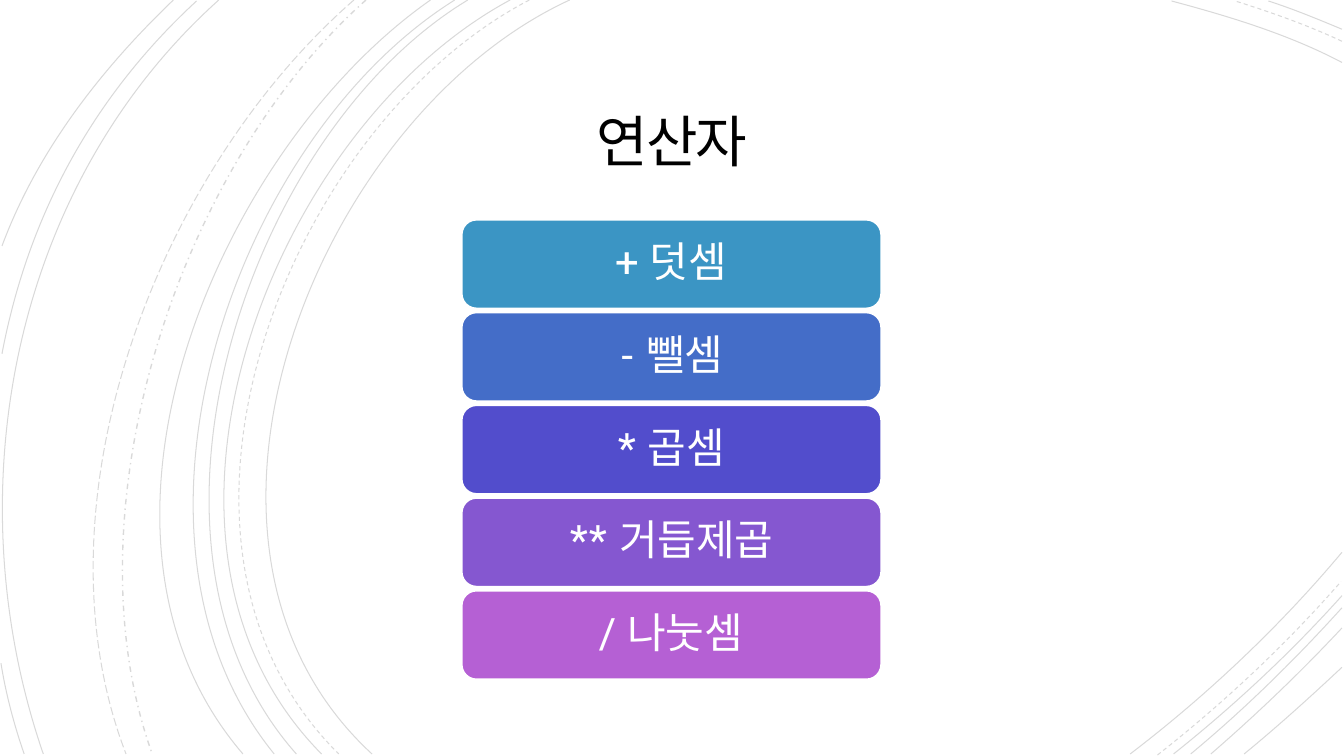
"""Build the operator slide: a title, five stacked bars and faint orbit arcs."""
from dataclasses import dataclass

from lxml import etree
from pptx import Presentation
from pptx.dml.color import RGBColor
from pptx.enum.dml import MSO_LINE
from pptx.enum.shapes import MSO_SHAPE
from pptx.enum.text import MSO_ANCHOR, MSO_AUTO_SIZE, PP_ALIGN
from pptx.oxml.ns import qn
from pptx.shapes.autoshape import Shape
from pptx.slide import Slide
from pptx.text.text import TextFrame
from pptx.util import Emu, Inches, Pt

SOLID, DASH = MSO_LINE.SOLID, MSO_LINE.DASH
LONG_DASH, DASH_DOT = MSO_LINE.LONG_DASH, MSO_LINE.DASH_DOT
ROUNDED = MSO_SHAPE.ROUNDED_RECTANGLE
MIDDLE, CENTER = MSO_ANCHOR.MIDDLE, PP_ALIGN.CENTER
FIXED_SIZE = MSO_AUTO_SIZE.NONE

COLORS = {
    "ink": "000000",
    "paper": "FFFFFF",
    "add": "3B95C4",
    "subtract": "446DC8",
    "multiply": "524DCC",
    "power": "8557D0",
    "divide": "B560D4",
}
CELL = Inches(1)
COLUMNS, ROWS = 13.33, 7.5
BAR_LEFT, BAR_TOP, BAR_WIDTH, BAR_HEIGHT, BAR_PITCH = 4.58, 2.18, 4.16, 0.88, 0.92
ARC_OPACITY = 15

Point = tuple[float, float]


@dataclass(frozen=True)
class Arc:
    start: Point
    bend_out: Point
    bend_in: Point
    end: Point
    dash: MSO_LINE = SOLID
    weight: float = 0.75


@dataclass(frozen=True)
class Operator:
    label: str
    color: str


ARCS = [
    Arc((5.65, 0), (3.15, 1.15), (1.43, 5.4), (3.69, 7.48)),
    Arc((13.31, 0.62), (12.78, 0.34), (12.18, 0.16), (11.62, 0.01)),
    Arc((11.21, 7.48), (11.97, 6.9), (12.69, 6.22), (13.31, 5.48)),
    Arc((5.25, 0), (2.85, 1.25), (1.23, 5.37), (3.36, 7.48), DASH),
    Arc((13.31, 0.41), (12.97, 0.25), (12.6, 0.12), (12.25, 0.01), DASH),
    Arc((11.48, 7.49), (12.13, 6.98), (12.75, 6.4), (13.3, 5.77), DASH),
    Arc((5.06, 0), (2.7, 1.27), (1.1, 5.37), (3.19, 7.48)),
    Arc((13.31, 0.29), (13.07, 0.19), (12.83, 0.09), (12.58, 0.01)),
    Arc((11.64, 7.48), (12.23, 7.01), (12.8, 6.48), (13.31, 5.91)),
    Arc((4.64, 0), (2.44, 1.33), (1.1, 5.41), (2.94, 7.48)),
    Arc((11.81, 7.48), (12.34, 7.04), (12.84, 6.55), (13.31, 6.03)),
    Arc((4.51, 0), (2.31, 1.38), (0.97, 5.33), (2.72, 7.48)),
    Arc((12.01, 7.48), (12.46, 7.09), (12.9, 6.67), (13.31, 6.23)),
    Arc((4.27, 0), (2.17, 1.47), (0.53, 5.29), (2.41, 7.48)),
    Arc((12.34, 7.48), (12.67, 7.21), (12.99, 6.92), (13.31, 6.62)),
    Arc((3.63, 0), (1.76, 1.66), (0.65, 5.09), (1.51, 7.48), DASH_DOT, 1),
    Arc((3.51, 0), (1.57, 1.69), (0.29, 4.99), (1.25, 7.48), LONG_DASH),
    Arc((2.17, 0), (0.11, 1.85), (-0.46, 4.9), (0.43, 7.48)),
    Arc((1.95, 0.01), (0.92, 0.96), (0.28, 2.14), (0.02, 3.51)),
    Arc((0.01, 6.58), (0.06, 6.89), (0.14, 7.19), (0.24, 7.48)),
    Arc((1.72, 0), (1, 0.69), (0.37, 1.5), (0.02, 2.44)),
]
OPERATORS = [
    Operator("+ 덧셈", "add"),
    Operator("- 뺄셈", "subtract"),
    Operator("* 곱셈", "multiply"),
    Operator("** 거듭제곱", "power"),
    Operator("/ 나눗셈", "divide"),
]


def grid(cells: float) -> Emu:
    return Emu(round(cells * CELL))


def rgb(name: str) -> RGBColor:
    return RGBColor.from_string(COLORS[name])


def write(frame: TextFrame, text: str, *, font: str, size: float, color: str,
          line_spacing: float, margins: Point, tracking: float = 0) -> None:
    frame.word_wrap = True
    frame.auto_size = FIXED_SIZE
    frame.vertical_anchor = MIDDLE
    frame.margin_left = frame.margin_right = grid(margins[0])
    frame.margin_top = frame.margin_bottom = grid(margins[1])
    paragraph = frame.paragraphs[0]
    paragraph.alignment = CENTER
    paragraph.line_spacing = line_spacing
    run = paragraph.add_run()
    run.text = text
    run.font.name = font
    run.font.size = Pt(size)
    run.font.color.rgb = rgb(color)
    if tracking:
        run.font._element.set("spc", str(round(tracking * 100)))


def bend(outline: Shape) -> None:
    route = outline._element.find(f".//{qn('a:path')}")
    segments = route.findall(qn("a:lnTo"))
    curve = etree.SubElement(route, qn("a:cubicBezTo"))
    for segment in segments:
        curve.append(segment[0])
        route.remove(segment)


def draw_arc(slide: Slide, arc: Arc) -> None:
    start, *others = [(grid(x), grid(y)) for x, y in
                      (arc.start, arc.bend_out, arc.bend_in, arc.end)]
    builder = slide.shapes.build_freeform(*start)
    builder.add_line_segments(others, close=False)
    orbit = builder.convert_to_shape()
    bend(orbit)
    orbit.shadow.inherit = False
    orbit.fill.background()
    orbit.line.color.rgb = rgb("ink")
    orbit.line.width = Pt(arc.weight)
    orbit.line.dash_style = arc.dash
    ink = orbit.line._ln.find(f".//{qn('a:srgbClr')}")
    etree.SubElement(ink, qn("a:alpha")).set("val", str(ARC_OPACITY * 1000))


def draw_operator(slide: Slide, operator: Operator, row: int) -> None:
    bar = slide.shapes.add_shape(
        ROUNDED, grid(BAR_LEFT), grid(BAR_TOP + row * BAR_PITCH),
        grid(BAR_WIDTH), grid(BAR_HEIGHT))
    bar.shadow.inherit = False
    bar.fill.solid()
    bar.fill.fore_color.rgb = rgb(operator.color)
    bar.line.color.rgb = rgb("paper")
    bar.line.width = Pt(1.25)
    write(bar.text_frame, operator.label, font="Roboto Slab", size=30,
          color="paper", line_spacing=0.9, margins=(0.12, 0.06))


def draw_heading(slide: Slide) -> None:
    heading = slide.shapes.title
    heading.left, heading.top = grid(1.92), grid(0.87)
    heading.width, heading.height = grid(9.49), grid(1.15)
    write(heading.text_frame, "연산자", font="Calibri", size=40, color="ink",
          line_spacing=0.85, margins=(0.25, 0.25), tracking=-1.5)


def main() -> None:
    deck = Presentation()
    deck.slide_width, deck.slide_height = grid(COLUMNS), grid(ROWS)
    slide = deck.slides.add_slide(deck.slide_layouts.get_by_name("Title Only"))
    for arc in ARCS:
        draw_arc(slide, arc)
    draw_heading(slide)
    for row, operator in enumerate(OPERATORS):
        draw_operator(slide, operator, row)
    deck.save("out.pptx")


if __name__ == "__main__":
    main()
